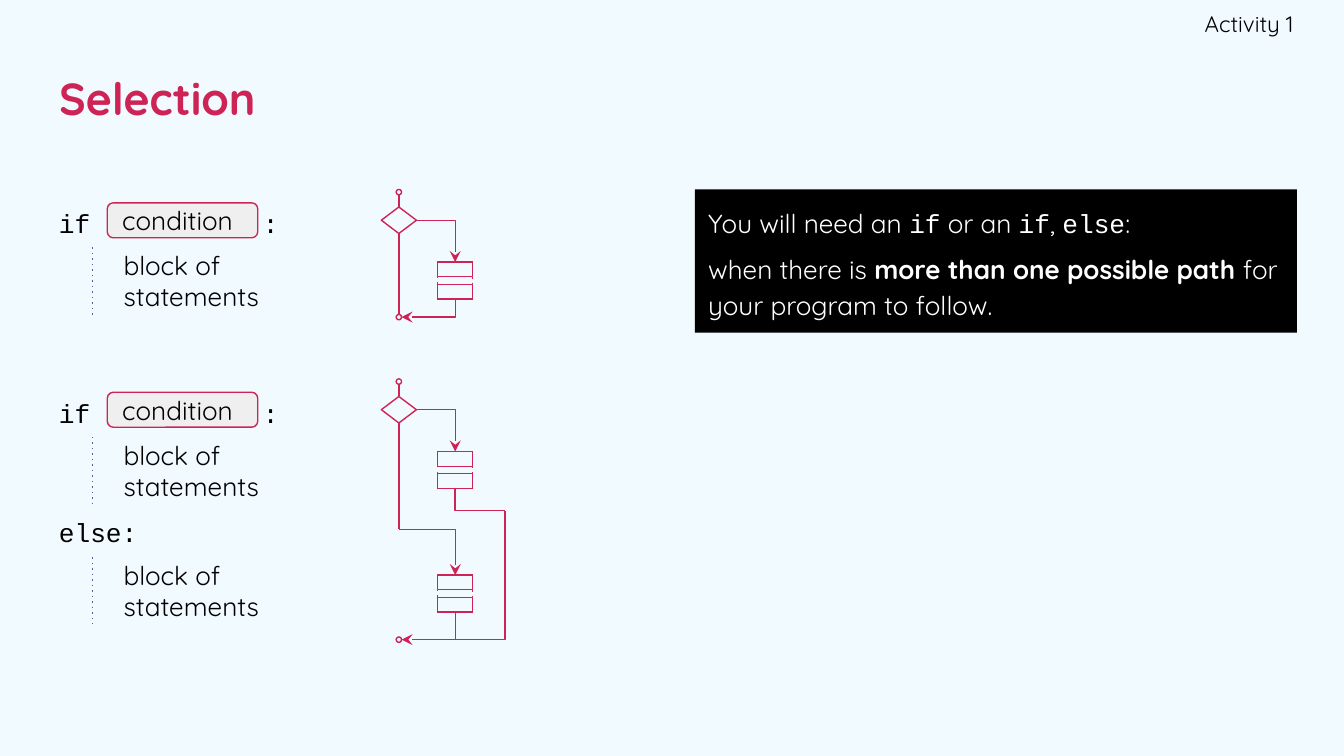
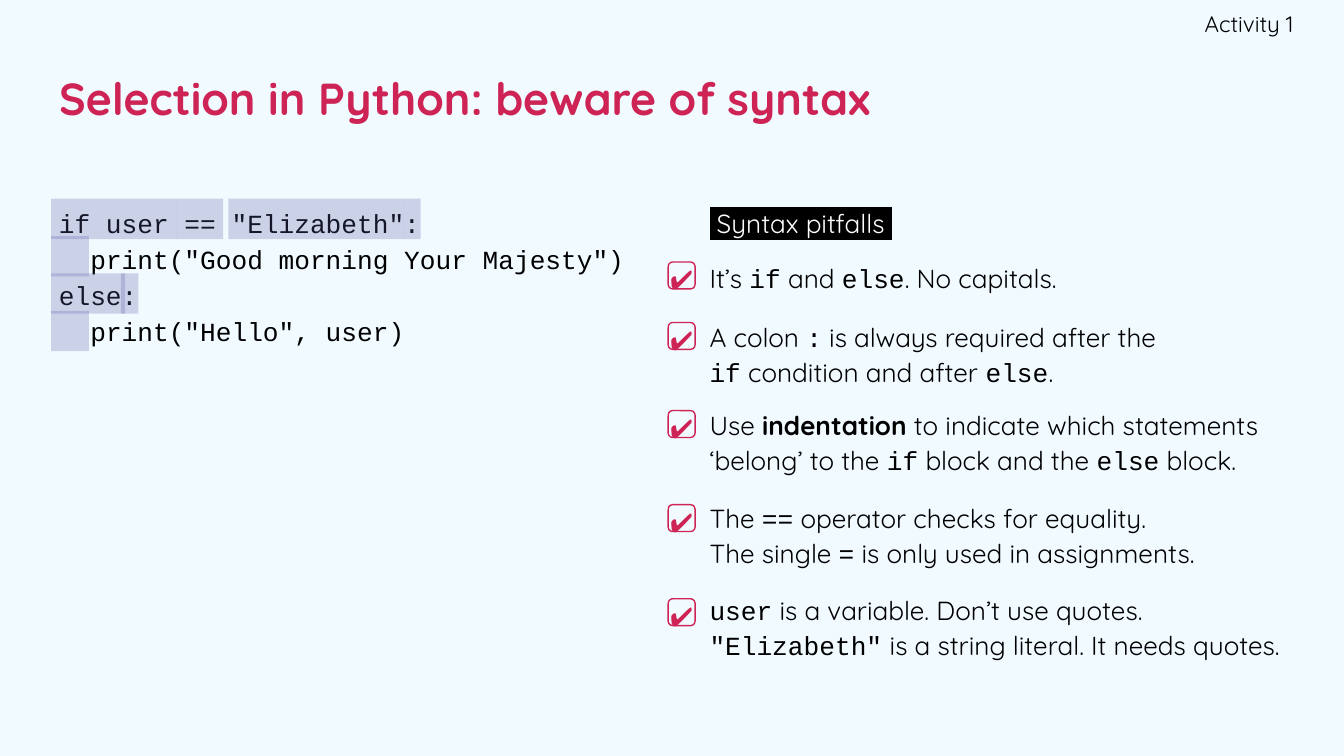
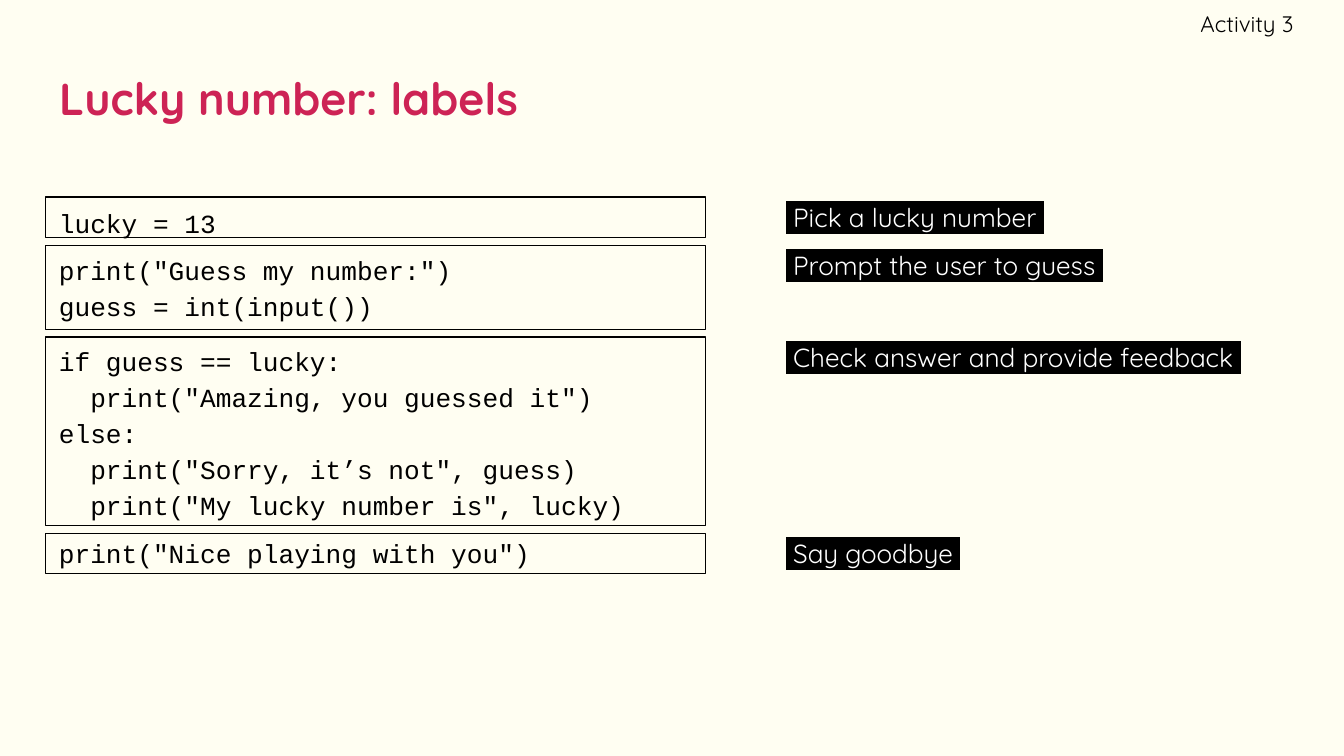
import pptx
import pptx.dml.color
import pptx.enum.dml
import pptx.enum.shapes
import pptx.enum.text
import pptx.oxml
import pptx.oxml.ns
import pptx.util

Pt = pptx.util.Pt
SHAPE = pptx.enum.shapes.MSO_SHAPE
CONNECTOR = pptx.enum.shapes.MSO_CONNECTOR
ANCHOR = pptx.enum.text.MSO_ANCHOR
ALIGN = pptx.enum.text.PP_ALIGN
qn = pptx.oxml.ns.qn

BODY_FONT, CODE_FONT = "Quicksand", "Courier New"
CRIMSON, VIOLET, BLACK, WHITE, GREY = "CD2355", "5B5BA5", "000000", "FFFFFF", "EFEFEF"
SKY, CREAM = "F1FAFF", "FFFEF2"
LEFT, TOP, PAD = 24.5, 101.5, 7.2
CODE_CHAR = 8.4


def rgb(colour):
    return pptx.dml.color.RGBColor.from_string(colour)


def element(tag, **attributes):
    node = pptx.oxml.parse_xml(f"<a:{tag} {pptx.oxml.ns.nsdecls('a')}/>")
    for key, value in attributes.items():
        node.set(key, value)
    return node


def code(text):
    return text, CODE_FONT, False


def bold(text):
    return text, BODY_FONT, True


def write_run(paragraph, piece, size=14, colour=BLACK):
    text, font, strong = (piece, BODY_FONT, False) if isinstance(piece, str) else piece
    run = paragraph.add_run()
    run.text = text
    run.font.name, run.font.size, run.font.bold = font, Pt(size), strong
    run.font.color.rgb = rgb(colour)
    return run


def prepare_frame(frame, anchor=ANCHOR.TOP, insets=(PAD, PAD, PAD, PAD)):
    frame.word_wrap = True
    frame.auto_size = pptx.enum.text.MSO_AUTO_SIZE.NONE
    frame.vertical_anchor = anchor
    frame.margin_left, frame.margin_top, frame.margin_right, frame.margin_bottom = map(Pt, insets)


def next_paragraph(frame, first, spacing=1.0, before=0, align=ALIGN.LEFT):
    paragraph = frame.paragraphs[0] if first else frame.add_paragraph()
    paragraph.line_spacing, paragraph.space_before = spacing, Pt(before)
    paragraph.alignment = align
    return paragraph


def write_lines(frame, lines, spacing=1.0, before=0, size=14, colour=BLACK, align=ALIGN.LEFT):
    for number, pieces in enumerate(lines):
        paragraph = next_paragraph(frame, number == 0, spacing, before if number else 0, align)
        for piece in pieces:
            write_run(paragraph, piece, size, colour)


def text_box(slide, left, top, width, height, anchor=ANCHOR.TOP, insets=(PAD, PAD, PAD, PAD)):
    frame = slide.shapes.add_textbox(Pt(left), Pt(top), Pt(width), Pt(height)).text_frame
    prepare_frame(frame, anchor, insets)
    return frame


def outline(item, colour, dotted=False):
    item.line.color.rgb = rgb(colour)
    item.line.width = Pt(0.75)
    if dotted:
        item.line.dash_style = pptx.enum.dml.MSO_LINE.ROUND_DOT
        item._element.spPr.find(qn("a:ln")).find(qn("a:prstDash")).set("val", "dot")


def draw(slide, kind, left, top, width, height, fill=None, line=None, dotted=False):
    figure = slide.shapes.add_shape(kind, Pt(left), Pt(top), Pt(width), Pt(height))
    figure.shadow.inherit = False
    if fill:
        figure.fill.solid()
        figure.fill.fore_color.rgb = rgb(fill)
    else:
        figure.fill.background()
    if line:
        outline(figure, line, dotted)
    else:
        figure.line.fill.background()
    return figure


def connect(slide, start, end, colour=CRIMSON, dotted=False, arrow=None, kind=CONNECTOR.STRAIGHT):
    link = slide.shapes.add_connector(kind, *map(Pt, (*start, *end)))
    outline(link, colour, dotted)
    properties = link._element.spPr
    properties.append(element("effectLst"))
    if arrow:
        properties.find(qn("a:ln")).append(element(arrow, type="stealth"))
    return link


def corner(slide, start, end, arrow=None):
    link = connect(slide, start, end, arrow=arrow, kind=CONNECTOR.ELBOW)
    link._element.spPr.find(qn("a:prstGeom")).set("prst", "bentConnector2")


def new_slide(deck, title, activity, background):
    slide = deck.slides.add_slide(deck.slide_layouts[5])
    slide.background.fill.solid()
    slide.background.fill.fore_color.rgb = rgb(background)
    heading = slide.shapes.title
    heading.left, heading.top, heading.width, heading.height = map(Pt, (LEFT, LEFT, 671, 55.4))
    prepare_frame(heading.text_frame, ANCHOR.MIDDLE)
    write_lines(heading.text_frame, [[bold(title)]], size=24, colour=CRIMSON)
    marker = text_box(slide, 539, 0, 154, 25, ANCHOR.MIDDLE, (PAD, PAD, 0, PAD))
    write_lines(marker, [[activity]], size=12, align=ALIGN.RIGHT)
    return slide


def code_block(slide, left, top, width, height, lines):
    frame = text_box(slide, left, top, width, height)
    for number, (level, text, before) in enumerate(lines):
        paragraph = next_paragraph(frame, number == 0, 1.15, before)
        properties = paragraph._p.get_or_add_pPr()
        properties.set("marL", str(Pt(2 * CODE_CHAR * level)))
        properties.set("indent", "0")
        write_run(paragraph, code(text))


def statement_text(slide, left, top):
    connect(slide, (left + 25.2, top), (left + 25.2, top + 36), VIOLET, dotted=True)
    frame = text_box(slide, left + 34.7, top, 100, 36, ANCHOR.MIDDLE)
    write_lines(frame, [["block of statements"]])


def selection_syntax(slide, left, top, has_else=False):
    condition = draw(slide, SHAPE.ROUNDED_RECTANGLE, left + 33, top + PAD, 80.6, 18.7, GREY, CRIMSON)
    prepare_frame(condition.text_frame, ANCHOR.MIDDLE)
    write_lines(condition.text_frame, [["condition"]])
    code_block(slide, left, top, 33, 32, [(0, "if", 0)])
    code_block(slide, left + 13 * CODE_CHAR, top, 25, 32, [(0, ":", 0)])
    statement_text(slide, left, top + 31)
    if has_else:
        code_block(slide, left, top + 64, 154, 32, [(0, "else:", 0)])
        statement_text(slide, left, top + 95.5)


AXIS, BRANCH, BYPASS = 9.4, 39.6, 66.2
RING, BAR_WIDTH, BAR_HEIGHT, BLOCK_HEIGHT = 2.9, 18.8, 7.9, 19.8
DECISION_TOP, DECISION_HEIGHT, BLOCK_TOP = 9.4, 14.2, 38.9


def ring(slide, x, y):
    draw(slide, SHAPE.OVAL, x - RING / 2, y - RING / 2, RING, RING, line=CRIMSON)


def flow_block(slide, left, top):
    x = left + BRANCH - BAR_WIDTH / 2
    draw(slide, SHAPE.RECTANGLE, x, top, BAR_WIDTH, BLOCK_HEIGHT, line=CRIMSON, dotted=True)
    for offset in (0, BLOCK_HEIGHT - BAR_HEIGHT):
        bar = draw(slide, SHAPE.RECTANGLE, x, top + offset, BAR_WIDTH, BAR_HEIGHT, line=CRIMSON)
    return bar


def flow_start(slide, left, top, end_y):
    axis = left + AXIS
    ring(slide, axis, top + RING / 2)
    decision = draw(slide, SHAPE.FLOWCHART_DECISION, left, top + DECISION_TOP,
                    2 * AXIS, DECISION_HEIGHT, line=CRIMSON)
    decision_bottom = top + DECISION_TOP + DECISION_HEIGHT
    connect(slide, (axis, top + RING), (axis, top + DECISION_TOP)).end_connect(decision, 0)
    connect(slide, (axis, decision_bottom), (axis, end_y)).begin_connect(decision, 2)
    flow_block(slide, left, top + BLOCK_TOP)
    corner(slide, (left + 2 * AXIS, top + DECISION_TOP + DECISION_HEIGHT / 2),
           (left + BRANCH, top + BLOCK_TOP), "tailEnd")


def if_flow(slide, left, top):
    end_y = top + 68.4
    flow_start(slide, left, top, end_y - RING / 2)
    ring(slide, left + AXIS, end_y)
    corner(slide, (left + AXIS + RING / 2, end_y),
           (left + BRANCH, top + BLOCK_TOP + BLOCK_HEIGHT), "headEnd")


def if_else_flow(slide, left, top):
    end_y, else_y, else_block, bypass_y = (top + y for y in (139.7, 80.6, 105.1, 70.6))
    branch, bypass = left + BRANCH, left + BYPASS
    flow_start(slide, left, top, else_y)
    ring(slide, left + AXIS, end_y)
    corner(slide, (left + AXIS, else_y), (branch, else_block), "tailEnd")
    last_bar = flow_block(slide, left, else_block)
    connect(slide, (branch, else_block + BLOCK_HEIGHT), (branch, end_y)).begin_connect(last_bar, 2)
    connect(slide, (branch, end_y), (left + AXIS + RING / 2, end_y), arrow="tailEnd")
    corner(slide, (bypass, bypass_y), (branch, top + BLOCK_TOP + BLOCK_HEIGHT))
    corner(slide, (branch, end_y), (bypass, bypass_y))


def advice(slide, left, top, width, height):
    panel = draw(slide, SHAPE.RECTANGLE, left, top, width, height, BLACK)
    prepare_frame(panel.text_frame, insets=(PAD, PAD, 4.3, PAD))
    write_lines(panel.text_frame, [
        ["You will need an ", code("if"), " or an ", code("if"), ", ", code("else"), ":"],
        ["when there is ", bold("more than one possible path"), " for your program to follow."],
    ], spacing=1.13, before=6, colour=WHITE)


def label(slide, left, top, width, text, top_inset=0):
    frame = text_box(slide, left, top, width, 31.7, insets=(PAD, top_inset, 4.3, PAD))
    run = write_run(next_paragraph(frame, True, 1.13), f" {text} ", colour=WHITE)
    highlight = element("highlight")
    highlight.append(element("srgbClr", val=BLACK))
    run._r.rPr.find(qn("a:solidFill")).addnext(highlight)


def highlights(slide, left, top):
    spans = [(0, 0, 25.2), (0, 25.2, 41.8), (0, 67, 25.2), (0, 95, 93.6), (0, 188.6, 9.4),
             (1, 0, 20.2), (2, 0, 39.6), (2, 37.4, 9.4), (3, 0, 20.2)]
    for row, offset, width in spans:
        band = draw(slide, SHAPE.RECTANGLE, left + offset, top + 20 * row, width, 21.6, VIOLET)
        tint = band._element.spPr.find(qn("a:solidFill"))[0]
        tint.append(element("alpha", val="25000"))


def pitfall(slide, left, top, check_top, lines):
    tick = text_box(slide, left, check_top - 1.5, 14.4, 14.4, insets=(0, 0, 0, 0))
    write_lines(tick, [["✔"]], spacing=1.14, colour=CRIMSON, align=ALIGN.CENTER)
    draw(slide, SHAPE.ROUNDED_RECTANGLE, left, check_top, 14.4, 14.4, line=CRIMSON)
    frame = text_box(slide, left + 15, top, 322, 46, insets=(PAD, PAD, 4.3, PAD))
    write_lines(frame, lines, spacing=1.12)


def selection_slide(deck):
    slide = new_slide(deck, "Selection", "Activity 1", SKY)
    advice(slide, 372.3, TOP, 322.5, 76.7)
    selection_syntax(slide, LEFT, TOP)
    if_flow(slide, 204.3, TOP)
    selection_syntax(slide, LEFT, 2 * TOP, has_else=True)
    if_else_flow(slide, 204.3, 2 * TOP)


def syntax_slide(deck):
    slide = new_slide(deck, "Selection in Python: beware of syntax", "Activity 1", SKY)
    code_block(slide, LEFT, TOP, 322, 90, [
        (0, 'if user == "Elizabeth":', 0),
        (1, 'print("Good morning Your Majesty")', 0),
        (0, "else:", 0),
        (1, 'print("Hello", user)', 0),
    ])
    highlights(slide, 27.4, 106.5)
    label(slide, 373, TOP, 322, "Syntax pitfalls", PAD)
    pitfalls = [
        (131.5, 140.4, [["It’s ", code("if"), " and ", code("else"), ". No capitals."]]),
        (162.7, 172.8, [["A colon ", code(":"), " is always required after the"],
                        [code("if"), " condition and after ", code("else"), "."]]),
        (210.2, 220.0, [["Use ", bold("indentation"),
                         " to indicate which statements ‘belong’ to the ", code("if"),
                         " block and the ", code("else"), " block."]]),
        (260.0, 270.4, [["The ", code("=="), " operator checks for equality."],
                        ["The single ", code("="), " is only used in assignments."]]),
        (309.0, 320.8, [[code("user"), " is a variable. Don’t use quotes."],
                        [code('"Elizabeth"'), " is a string literal. It needs quotes."]]),
    ]
    for top, check_top, lines in pitfalls:
        pitfall(slide, 358, top, check_top, lines)


def labels_slide(deck):
    slide = new_slide(deck, "Lucky number: labels", "Activity 3", CREAM)
    code_block(slide, LEFT, TOP, 348.5, 211, [
        (0, "lucky = 13", 0),
        (0, 'print("Guess my number:")', 6),
        (0, "guess = int(input())", 0),
        (0, "if guess == lucky:", 10),
        (1, 'print("Amazing, you guessed it")', 0),
        (0, "else:", 0),
        (1, 'print("Sorry, it’s not", guess)', 0),
        (1, 'print("My lucky number is", lucky)', 0),
        (0, 'print("Nice playing with you")', 6),
    ])
    top = 105.6
    for purpose, height in [("Pick a lucky number", 21.6), ("Prompt the user to guess", 45),
                            ("Check answer and provide feedback", 101), ("Say goodbye", 21.6)]:
        draw(slide, SHAPE.RECTANGLE, LEFT, top, 353.5, height, line=BLACK)
        label(slide, 414, top, 281, purpose)
        top += height + 4.2


def main():
    deck = pptx.Presentation()
    deck.slide_width, deck.slide_height = Pt(720), Pt(405)
    selection_slide(deck)
    syntax_slide(deck)
    labels_slide(deck)
    deck.save("out.pptx")


if __name__ == "__main__":
    main()
